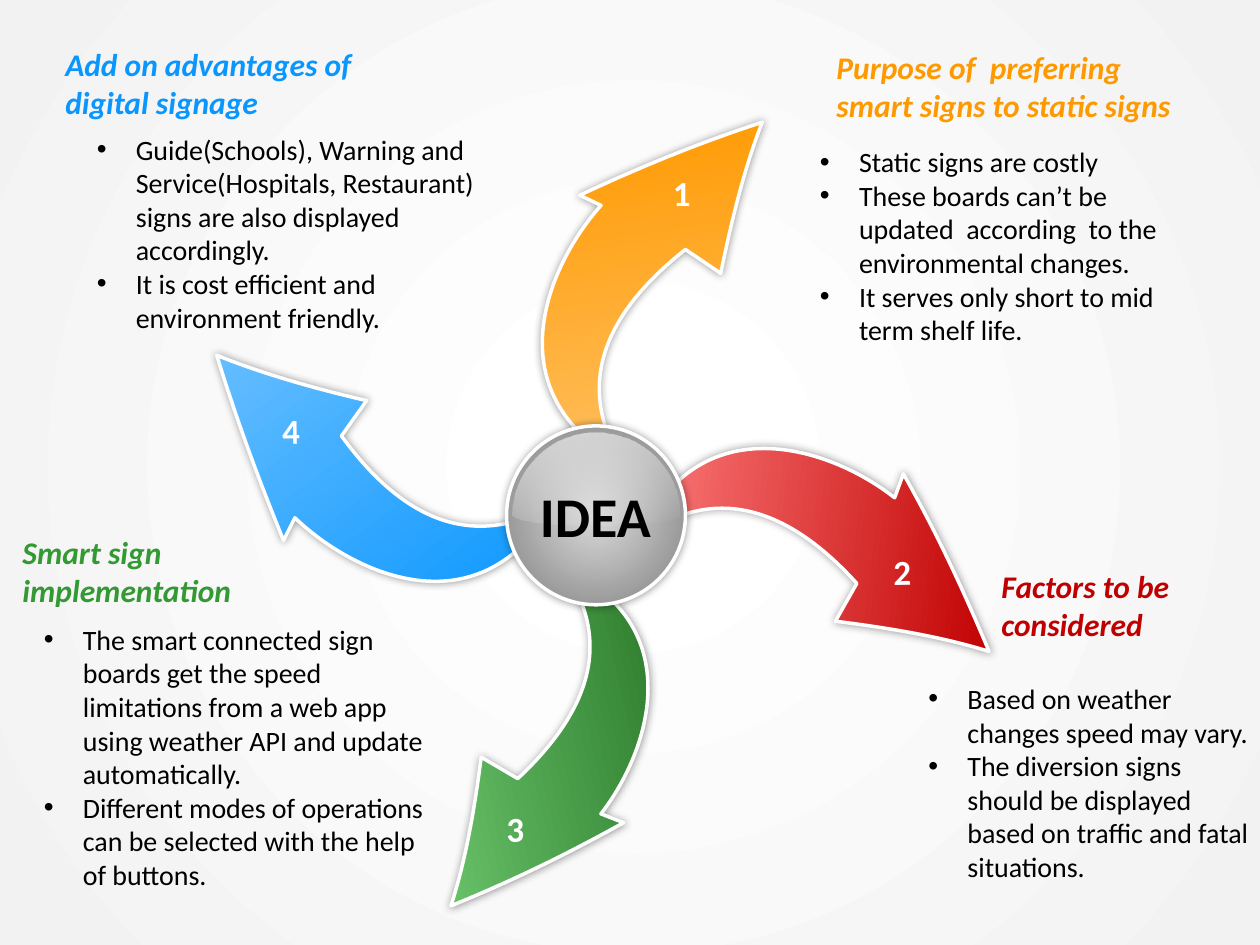
from math import cos, radians, sin

from lxml.etree import SubElement
from pptx import Presentation
from pptx.dml.color import RGBColor
from pptx.enum.shapes import MSO_SHAPE as Shape
from pptx.enum.text import MSO_AUTO_SIZE as AutoSize, PP_ALIGN as Align
from pptx.oxml.ns import qn
from pptx.util import Inches, Pt

FONT = "Calibri"
WHITE, BLACK = "FFFFFF", "000000"

# Arrows: gradient colours and angle, frame and its turn, number and its box,
# then the outline: a start point, lines (x, y) and curves (two controls, end)
ARROWS = [
    {"colors": ("FF9900", "FFC266"), "angle": 270, "frame": (4.25, 1.1, 2, 2.52), "turn": 171.6,
     "number": "1", "box": (5.22, 1.31, 0.38, 0.5), "rotation": 0,
     "outline": [(6.05, 0.97), (5.53, 1.14, 5.07, 1.33, 4.6, 1.55), (4.77, 1.63),
                 (4.33, 2.12, 3.92, 3.13, 4.94, 3.68), (4.57, 3.07, 4.77, 2.51, 5.44, 1.98),
                 (5.72, 2.17), (5.8, 1.78, 5.9, 1.35, 6.05, 0.97)]},
    {"colors": ("C00000", "FF8080"), "angle": 290, "frame": (5.41, 3.22, 2, 2.52), "turn": 257.3,
     "number": "2", "box": (6.97, 4.32, 0.38, 0.44), "rotation": 359,
     "outline": [(7.85, 5.17), (7.64, 4.67, 7.43, 4.22, 7.17, 3.76), (7.1, 3.95),
                 (6.58, 3.54, 5.54, 3.21, 5.07, 4.27), (5.65, 3.85, 6.23, 4, 6.8, 4.63),
                 (6.63, 4.93), (7.03, 4.98, 7.47, 5.05, 7.85, 5.17)]},
    {"colors": ("267326", "75D175"), "angle": 180, "frame": (3.29, 4.58, 1.93, 2.43), "turn": 347.4,
     "number": "3", "box": (3.9, 6.36, 0.38, 0.44), "rotation": 359,
     "outline": [(3.58, 7.19), (4.07, 6.99, 4.5, 6.78, 4.95, 6.53), (4.77, 6.46),
                 (5.16, 5.96, 5.48, 4.96, 4.46, 4.5), (4.86, 5.06, 4.71, 5.62, 4.11, 6.18),
                 (3.82, 6.01), (3.77, 6.4, 3.7, 6.82, 3.58, 7.19)]},
    {"colors": ("0996FF", "6BC0FF"), "angle": 150, "frame": (2.09, 2.4, 2, 2.52), "turn": 83.4,
     "number": "4", "box": (2.12, 3.2, 0.38, 0.44), "rotation": 359,
     "outline": [(1.72, 2.82), (1.88, 3.34, 2.05, 3.8, 2.25, 4.29), (2.34, 4.11),
                 (2.82, 4.57, 3.81, 5.01, 4.39, 4.01), (3.77, 4.36, 3.21, 4.15, 2.71, 3.46),
                 (2.91, 3.18), (2.52, 3.09, 2.09, 2.97, 1.72, 2.82)]},
]

GLOSS = [(4.07, 4.09), (4.07, 3.72, 4.37, 3.43, 4.73, 3.43),
         (5.09, 3.43, 5.39, 3.72, 5.39, 4.09), (5.28, 4.2, 4.18, 4.2, 4.07, 4.09)]

# Topics: heading, its colour and box, then bullets, their box and left indent
TOPICS = [
    ("Factors to be considered", "C00000", (7.85, 4.45, 2.03, 0.71),
     ["Based on weather changes speed may vary.",
      "The diversion signs should be displayed based on traffic and fatal situations."],
     (6.77, 5.36, 3.29, 1.72), 0.81),
    ("Purpose of  preferring smart signs to static signs", "FF9900", (6.54, 0.33, 3.01, 0.71),
     ["Static signs are costly",
      "These boards can’t be updated  according  to the environmental changes.",
      "It serves only short to mid term shelf life."],
     (6.41, 1.1, 3.14, 1.99), 0.31),
    ("Smart sign implementation", "339933", (0.08, 4.18, 2.84, 0.71),
     ["The smart connected sign boards get the speed limitations from a web app "
      "using weather API and update automatically.",
      "Different modes of operations can be selected with the help of buttons."],
     (0.25, 4.89, 3.23, 2.25), 0.31),
    ("Add on advantages of digital signage", "0996FF", (0.42, 0.31, 3.07, 0.71),
     ["Guide(Schools), Warning and Service(Hospitals, Restaurant) signs are also "
      "displayed accordingly.",
      "It is cost efficient and environment friendly."],
     (0.67, 1, 3.22, 2.02), 0.31),
]


def color(value):
    return RGBColor.from_string(value)


def add_xml_color(parent, value, alpha=100):
    element = SubElement(parent, qn("a:srgbClr"), val=value)
    if alpha < 100:
        SubElement(element, qn("a:alpha"), val=str(alpha * 1000))


def set_gradient(shape, stops, angle=None):
    """Fill with (position, colour, alpha) stops; radial when no angle is given."""
    shape.fill.gradient()
    gradient = shape._element.spPr.find(qn("a:gradFill"))
    gradient.set("rotWithShape", "1")
    for child in list(gradient):
        gradient.remove(child)
    stop_list = SubElement(gradient, qn("a:gsLst"))
    for position, value, alpha in stops:
        stop = SubElement(stop_list, qn("a:gs"), pos=str(position * 1000))
        add_xml_color(stop, value, alpha)
    if angle is None:
        radial = SubElement(gradient, qn("a:path"), path="circle")
        SubElement(radial, qn("a:fillToRect"), l="50000", t="50000", r="50000", b="50000")
    else:
        SubElement(gradient, qn("a:lin"), ang=str(angle * 60000), scaled="0")


def set_outline(shape, raised):
    """Raised shapes get a white line and a soft shadow; others get neither."""
    shape.shadow.inherit = False
    if not raised:
        shape.line.fill.background()
        return
    shape.line.color.rgb = color(WHITE)
    shape.line.width = Pt(2)
    effects = shape._element.spPr.find(qn("a:effectLst"))
    shadow = SubElement(effects, qn("a:outerShdw"), blurRad=str(Pt(5)), dist="0", dir="0")
    add_xml_color(shadow, BLACK, 40)


def add_outline(slide, outline, frame, turn=0):
    """Draw a curved outline, given as it lies on the slide, inside a turned frame."""
    left, top, width, height = frame
    cosine, sine = cos(radians(turn)), sin(radians(turn))

    def to_frame(x, y):
        dx, dy = x - left - width / 2, y - top - height / 2
        return (Inches(dx * cosine + dy * sine + width / 2),
                Inches(dy * cosine - dx * sine + height / 2))

    segments = [[to_frame(*segment[i:i + 2]) for i in range(0, len(segment), 2)]
                for segment in outline]
    builder = slide.shapes.build_freeform(*segments[0][0])
    builder.add_line_segments([segment[-1] for segment in segments[1:]])
    shape = builder.convert_to_shape()
    shape.left, shape.top, shape.width, shape.height = map(Inches, frame)
    shape.rotation = turn

    # Swap the straight sides for lines and Bezier curves
    outline_path = shape._element.spPr.find(".//" + qn("a:path"))
    for child in list(outline_path):
        outline_path.remove(child)
    outline_path.set("w", str(Inches(width)))
    outline_path.set("h", str(Inches(height)))
    for index, points in enumerate(segments):
        tag = "a:moveTo" if index == 0 else "a:lnTo" if len(points) == 1 else "a:cubicBezTo"
        step = SubElement(outline_path, qn(tag))
        for x, y in points:
            SubElement(step, qn("a:pt"), x=str(x), y=str(y))
    SubElement(outline_path, qn("a:close"))
    return shape


def add_preset(slide, kind, box):
    return slide.shapes.add_shape(kind, *map(Inches, box))


def add_text(slide, lines, box, size=16, fill=BLACK, bold=False, italic=False,
             align=Align.LEFT, rotation=0, indent=None):
    shape = slide.shapes.add_textbox(*map(Inches, box))
    shape.rotation = rotation
    frame = shape.text_frame
    frame.word_wrap = True
    frame.auto_size = AutoSize.SHAPE_TO_FIT_TEXT
    frame.text = "\n".join(lines)
    for paragraph in frame.paragraphs:
        paragraph.alignment = align
        font = paragraph.runs[0].font
        font.name, font.size, font.bold, font.italic = FONT, Pt(size), bold, italic
        font.color.rgb = color(fill)
        if indent is not None:
            properties = paragraph._p.get_or_add_pPr()
            properties.set("marL", str(Inches(indent)))
            properties.set("indent", str(Inches(-0.31)))
            SubElement(properties, qn("a:buFont"), typeface="Arial")
            SubElement(properties, qn("a:buChar"), char="•")


def main():
    presentation = Presentation()
    presentation.slide_width, presentation.slide_height = Inches(10), Inches(7.5)
    slide = presentation.slides.add_slide(presentation.slide_layouts[6])

    # Backdrop
    backdrop = add_preset(slide, Shape.RECTANGLE, (0, -0.09, 10.06, 7.59))
    set_gradient(backdrop, [(11, WHITE, 100), (99, "F2F2F2", 100)])
    set_outline(backdrop, raised=False)

    # Numbered arrows
    for arrow in ARROWS:
        shape = add_outline(slide, arrow["outline"], arrow["frame"], arrow["turn"])
        start, end = arrow["colors"]
        set_gradient(shape, [(0, start, 100), (100, end, 100)], arrow["angle"])
        set_outline(shape, raised=True)
        add_text(slide, [arrow["number"]], arrow["box"], size=20, fill=WHITE, bold=True,
                 align=Align.CENTER, rotation=arrow["rotation"])

    # Central ball with its gloss
    ball = add_preset(slide, Shape.OVAL, (4.02, 3.38, 1.42, 1.42))
    set_gradient(ball, [(0, "D9D9D9", 100), (100, "808080", 100)])
    set_outline(ball, raised=True)
    gloss = add_outline(slide, GLOSS, (4.07, 3.43, 1.31, 0.66))
    set_gradient(gloss, [(0, WHITE, 63), (100, WHITE, 0)], 80)
    set_outline(gloss, raised=False)
    add_text(slide, ["IDEA"], (4.05, 3.77, 1.35, 0.64), size=32, bold=True, align=Align.CENTER)

    # Headings and bullets
    for heading, fill, heading_box, bullets, bullet_box, indent in TOPICS:
        add_text(slide, [heading], heading_box, size=18, fill=fill, bold=True, italic=True)
        add_text(slide, bullets, bullet_box, indent=indent)

    presentation.save("out.pptx")


if __name__ == "__main__":
    main()
